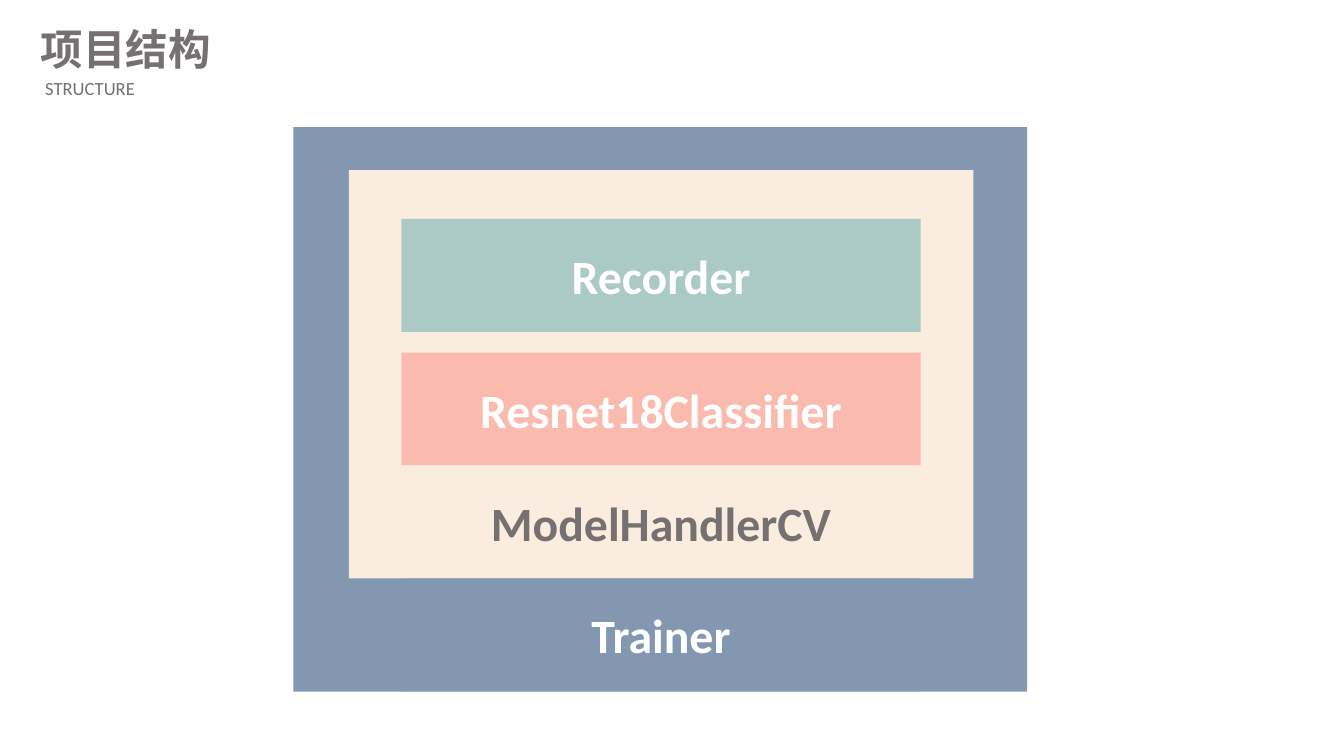
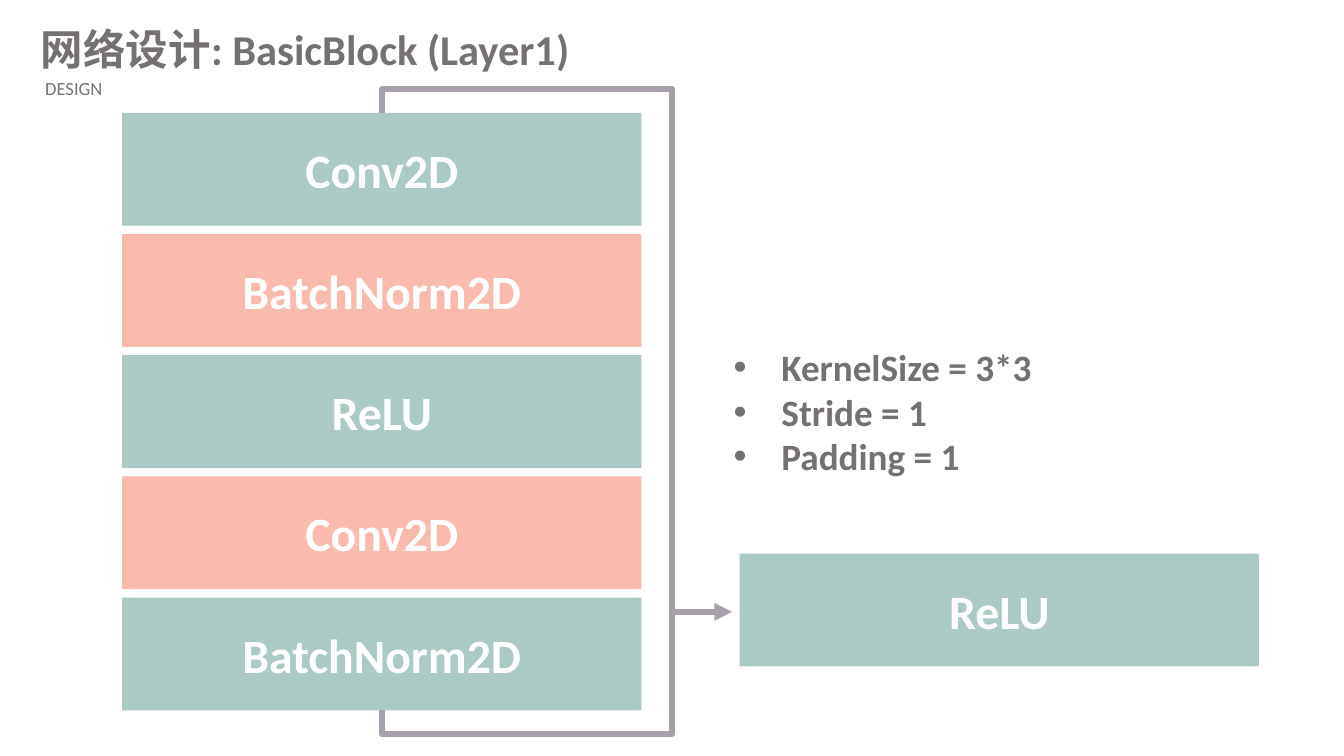
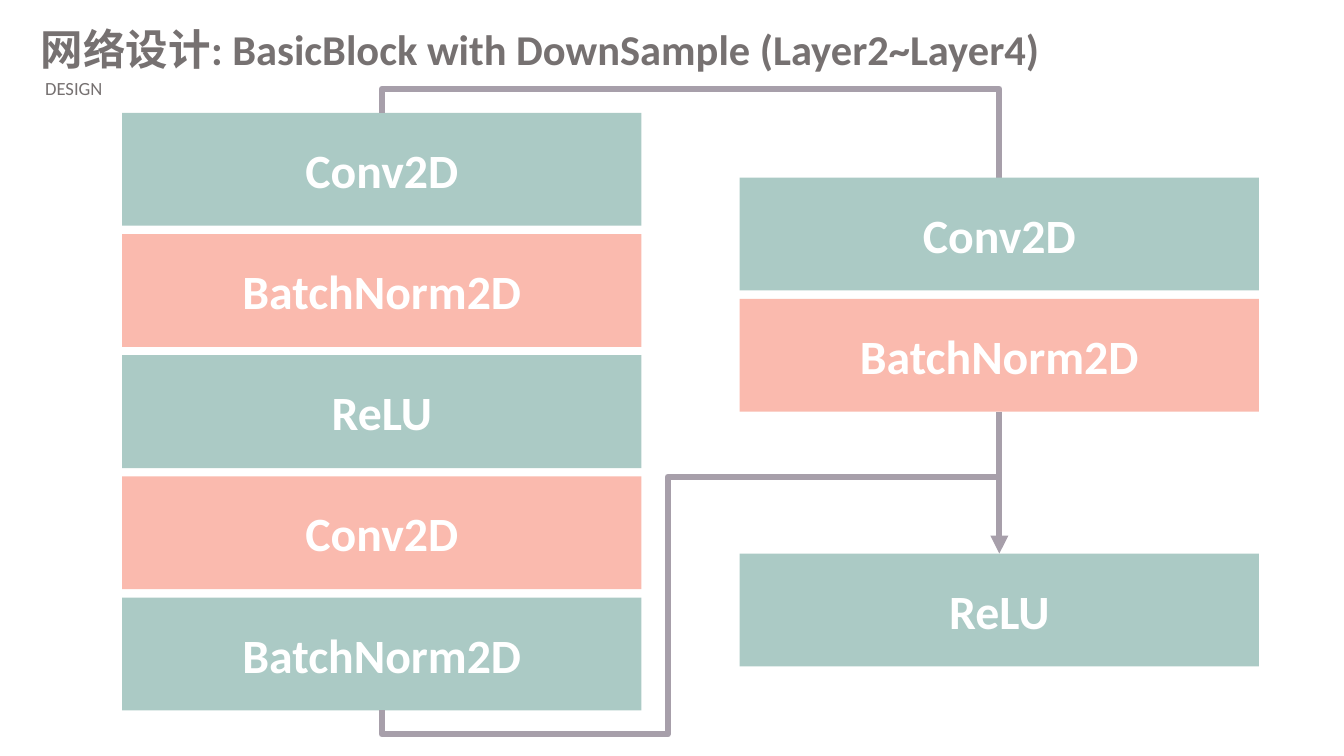
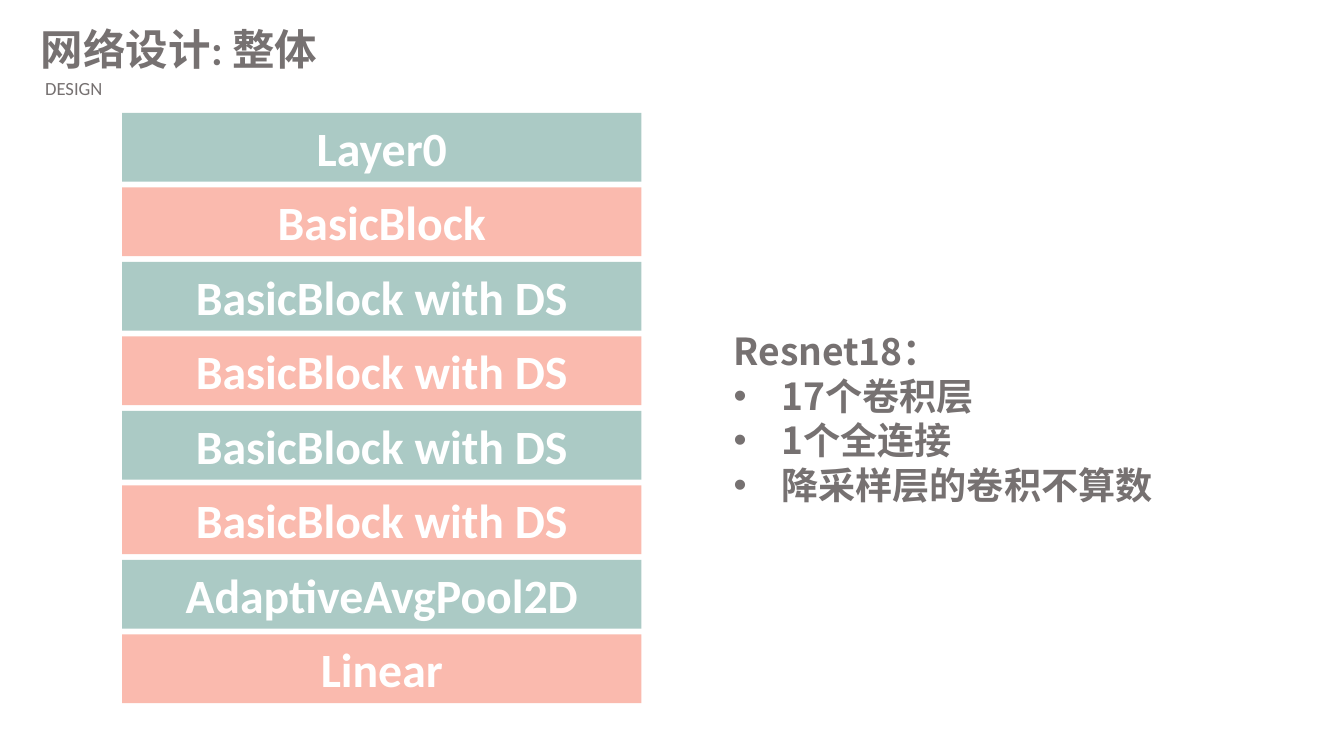
from typing import NamedTuple

from lxml.etree import SubElement
from pptx import Presentation
from pptx.dml.color import RGBColor
from pptx.enum.shapes import MSO_CONNECTOR, MSO_SHAPE
from pptx.enum.text import MSO_ANCHOR, PP_ALIGN
from pptx.oxml.ns import qn
from pptx.shapes.connector import Connector
from pptx.slide import Slide
from pptx.text.text import TextFrame
from pptx.util import Cm, Pt

# Shared look
WHITE = RGBColor(0xFF, 0xFF, 0xFF)
GREY = RGBColor(0x76, 0x71, 0x71)
BLUE = RGBColor(0x84, 0x97, 0xB0)
CREAM = RGBColor(0xFA, 0xEC, 0xDF)
GREEN = RGBColor(0xAB, 0xCA, 0xC5)
PINK = RGBColor(0xFA, 0xBA, 0xAE)
MAUVE = RGBColor(0xA7, 0x9F, 0xAA)
LATIN = "Calibri"
ASIAN = "Noto Sans CJK SC"

# Shared layout, in centimetres
WIDE, HIGH, PITCH = 13.8, 3.0, 3.22
LEFT, RIGHT, TOP = 3.25, 19.66, 3.0
MID_L, MID_R = LEFT + WIDE / 2, RIGHT + WIDE / 2
FOOT = TOP + 4 * PITCH + HIGH
LAST = 14.71
STUB = 0.64
BLOCK = ["Conv2D", "BatchNorm2D", "ReLU", "Conv2D", "BatchNorm2D"]


class Point(NamedTuple):
    x: float
    y: float


class Card(NamedTuple):
    x: float
    y: float
    fill: RGBColor
    text: str = ""
    color: RGBColor = WHITE
    w: float = WIDE
    h: float = HIGH


class Item(NamedTuple):
    text: str
    bullet: bool = True


# Text
def write(frame: TextFrame, text: str, *, size: float, color: RGBColor = GREY,
          bold: bool = True, font: str = LATIN, align: PP_ALIGN = PP_ALIGN.LEFT,
          pitch: float | None = None, bullet: bool = False, more: bool = False) -> None:
    para = frame.add_paragraph() if more else frame.paragraphs[0]
    para.alignment = align
    if pitch:
        para.line_spacing = Pt(pitch)
    if bullet:
        props = para._p.get_or_add_pPr()
        props.set("marL", str(Cm(1.27)))
        props.set("indent", str(-Cm(1.27)))
        SubElement(props, qn("a:buFont"), typeface="Arial")
        SubElement(props, qn("a:buChar"), char="•")
    run = para.add_run()
    run.text = text
    run.font.size, run.font.bold, run.font.name = Pt(size), bold, font
    run.font.color.rgb = color
    SubElement(run.font._element, qn("a:ea"), typeface=ASIAN)


def add_box(slide: Slide, x: float, y: float, w: float, h: float) -> TextFrame:
    frame = slide.shapes.add_textbox(Cm(x), Cm(y), Cm(w), Cm(h)).text_frame
    frame.word_wrap = True
    return frame


def add_head(slide: Slide, title: str, label: str, width: float) -> None:
    head = add_box(slide, 1.09, 0.61, width, 1.37)
    sub = add_box(slide, 1.09, 2.03, 7.8, 0.61)
    for frame in (head, sub):
        frame.vertical_anchor = MSO_ANCHOR.MIDDLE
        frame.margin_left = frame.margin_right = 0
        frame.margin_top = frame.margin_bottom = 0
    sub.margin_left = Cm(0.11)
    write(head, title, size=32)
    write(sub, label, size=14, bold=False)


def add_notes(slide: Slide, y: float, h: float, items: list[Item],
              font: str = LATIN) -> None:
    frame = add_box(slide, 19.25, y, 15.19, h)
    for i, item in enumerate(items):
        write(frame, item.text, size=28, font=font, pitch=33.5,
              bullet=item.bullet, more=i > 0)


# Blocks
def add_card(slide: Slide, card: Card) -> None:
    shape = slide.shapes.add_shape(MSO_SHAPE.RECTANGLE, Cm(card.x), Cm(card.y),
                                   Cm(card.w), Cm(card.h))
    shape.shadow.inherit = False
    shape.fill.solid()
    shape.fill.fore_color.rgb = card.fill
    shape.line.fill.background()
    if card.text:
        shape.text_frame.vertical_anchor = MSO_ANCHOR.MIDDLE
        write(shape.text_frame, card.text, size=36, color=card.color,
              align=PP_ALIGN.CENTER)


def add_stack(slide: Slide, x: float, y: float, names: list[str],
              h: float = HIGH, pitch: float = PITCH) -> None:
    for i, name in enumerate(names):
        add_card(slide, Card(x, y + i * pitch, (GREEN, PINK)[i % 2], name, h=h))


# Lines
def add_line(slide: Slide, kind: MSO_CONNECTOR, start: Point, end: Point) -> Connector:
    line = slide.shapes.add_connector(kind, Cm(start.x), Cm(start.y),
                                      Cm(end.x), Cm(end.y))
    line.line.color.rgb = MAUVE
    line.line.width = Pt(4.5)
    SubElement(line.element.spPr, qn("a:effectLst"))
    return line


def add_arrow(slide: Slide, start: Point, end: Point) -> None:
    line = add_line(slide, MSO_CONNECTOR.STRAIGHT, start, end)
    SubElement(line.line._get_or_add_ln(), qn("a:tailEnd"), type="triangle")


def add_bend(slide: Slide, start: Point, end: Point, lane: float | None = None) -> None:
    """Leave upwards, or downwards and then up along the lane when one is given."""
    w, h = abs(end.y - start.y), end.x - start.x
    x, y = (start.x + end.x - w) / 2, (start.y + end.y - h) / 2
    line = add_line(slide, MSO_CONNECTOR.ELBOW, Point(x, y), Point(x + w, y + h))
    ratios = [-STUB / w]
    frame = line.element.spPr.find(qn("a:xfrm"))
    frame.set("flipH", "1")
    frame.set("rot", str((270 if lane is None else 90) * 60000))
    geom = line.element.spPr.find(qn("a:prstGeom"))
    if lane is not None:
        frame.set("flipV", "1")
        geom.set("prst", "bentConnector4")
        ratios.append((lane - start.x) / h)
    guides = geom.find(qn("a:avLst"))
    if guides is None:
        guides = SubElement(geom, qn("a:avLst"))
    for i, ratio in enumerate(ratios, 1):
        SubElement(guides, qn("a:gd"), name=f"adj{i}",
                   fmla=f"val {round(ratio * 100000)}")


# Slides
def draw_tree(slide: Slide) -> None:
    add_head(slide, "项目结构", "STRUCTURE", 10.97)
    left = 10.67
    for card in (
        Card(7.8, 3.38, BLUE, w=19.5, h=15),
        Card(9.27, 4.52, CREAM, w=16.6, h=10.85),
        Card(left, 9.37, PINK, "Resnet18Classifier"),
        Card(left, 5.82, GREEN, "Recorder"),
        Card(left, 12.37, CREAM, "ModelHandlerCV", GREY),
        Card(left, 15.37, BLUE, "Trainer"),
    ):
        add_card(slide, card)


def draw_block(slide: Slide) -> None:
    add_head(slide, "网络设计: BasicBlock (Layer1)", "DESIGN", 26.77)
    add_stack(slide, LEFT, TOP, BLOCK)
    add_notes(slide, 9.04, 3.84, [Item("KernelSize = 3*3"), Item("Stride = 1"),
                                  Item("Padding = 1")])
    join = Point(17.86, 16.26)
    add_bend(slide, Point(MID_L, TOP), join)
    add_bend(slide, Point(MID_L, FOOT), join, join.x)
    add_arrow(slide, join, Point(19.46, join.y))
    add_stack(slide, RIGHT, LAST, ["ReLU"])


def draw_down(slide: Slide) -> None:
    add_head(slide, "网络设计: BasicBlock with DownSample (Layer2~Layer4)",
             "DESIGN", 29.77)
    add_stack(slide, LEFT, TOP, BLOCK)
    side = 4.72
    base = side + PITCH + HIGH
    add_bend(slide, Point(MID_L, TOP), Point(MID_R, side))
    add_bend(slide, Point(MID_L, FOOT), Point(MID_R, 12.67), 17.75)
    add_arrow(slide, Point(MID_R, base), Point(MID_R, LAST))
    add_stack(slide, RIGHT, LAST, ["ReLU"])
    add_stack(slide, RIGHT, side, BLOCK[:2])


def draw_whole(slide: Slide) -> None:
    add_head(slide, "网络设计: 整体", "DESIGN", 13.8)
    names = ["Layer0", "BasicBlock", *["BasicBlock with DS"] * 4,
             "AdaptiveAvgPool2D", "Linear"]
    add_stack(slide, LEFT, TOP, names, h=1.83, pitch=1.98)
    add_notes(slide, 8.61, 5.05, [Item("Resnet18：", False), Item("17个卷积层"),
                                  Item("1个全连接"), Item("降采样层的卷积不算数")],
              font=ASIAN)


def main() -> None:
    deck = Presentation()
    deck.slide_width, deck.slide_height = Cm(35.72), Cm(20.09)
    for draw in (draw_tree, draw_block, draw_down, draw_whole):
        draw(deck.slides.add_slide(deck.slide_layouts[6]))
    deck.save("out.pptx")


if __name__ == "__main__":
    main()
